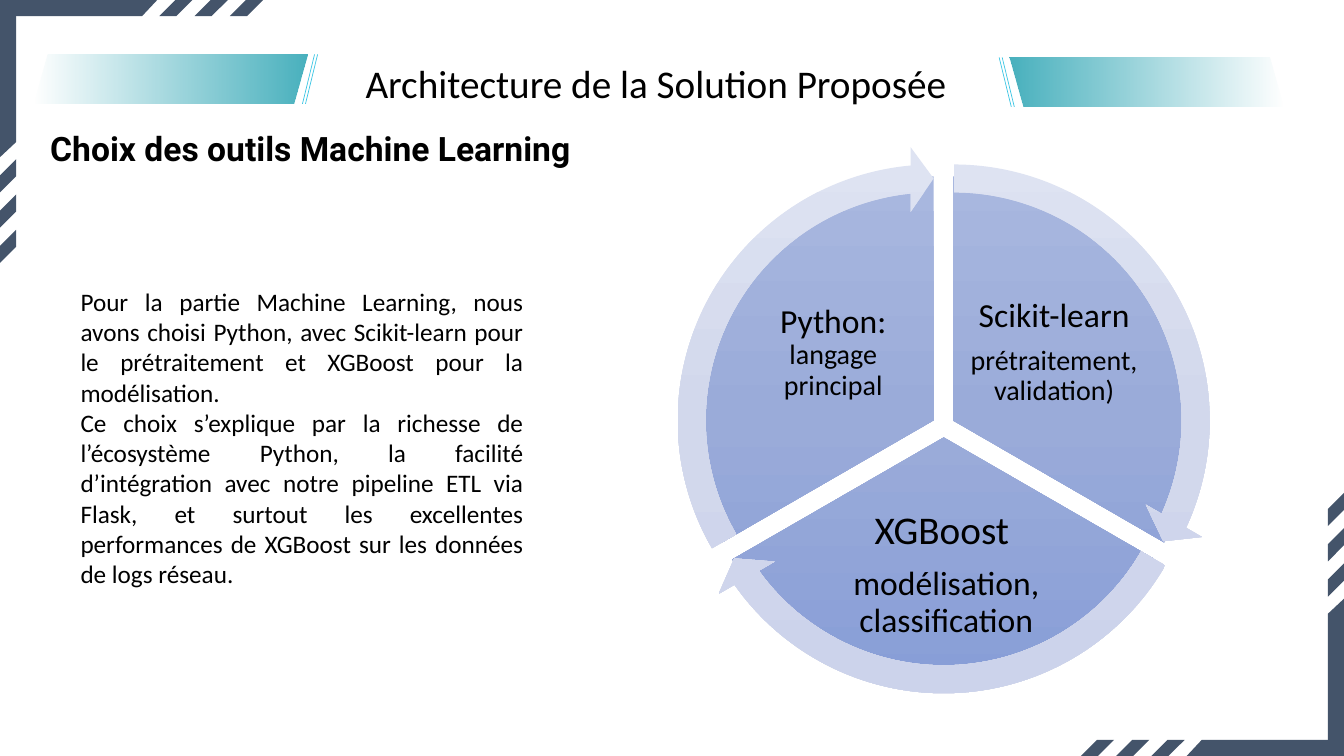
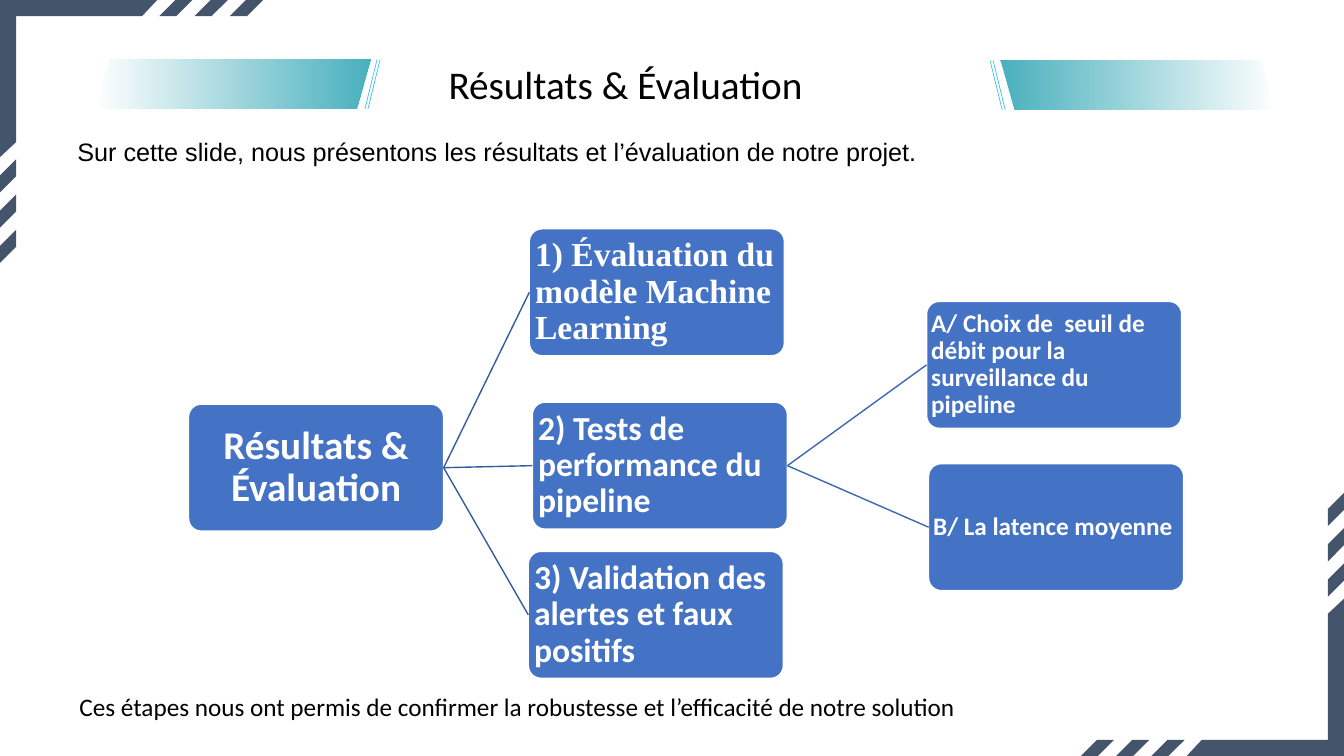
from lxml import etree
from pptx import Presentation
from pptx import util as u
from pptx.dml.color import RGBColor
from pptx.enum import shapes, text
from pptx.oxml.ns import qn

WIDTH, HEIGHT = 13.33, 7.5
NAVY, TEAL, CYAN = "44546A", "48B1BE", "3CC6E4"
BLUE, LINK, SUBLINK = "4472C4", "365B9D", "3E67B2"
BLACK, WHITE = "000000", "FFFFFF"
SECTOR_FILL = [(0, "A8B7DF", 100), (50, "9AABD9", 100), (100, "889ED7", 100)]
ARROW_FILL = [(0, "DEE3F2", 100), (50, "D2D8EC", 100), (100, "CCD3EB", 100)]
FADE_FILL = [(0, TEAL, 100), (100, TEAL, 0)]
LEFT, CENTER, JUSTIFY = text.PP_ALIGN.LEFT, text.PP_ALIGN.CENTER, text.PP_ALIGN.JUSTIFY
MIDDLE = text.MSO_ANCHOR.MIDDLE
PRESET = shapes.MSO_SHAPE


def rgb(code):
    return RGBColor.from_string(code)


class Deck:
    """Holds the shared style and the slide being drawn."""

    def __init__(self):
        self.prs = Presentation()
        self.prs.slide_width = u.Inches(WIDTH)
        self.prs.slide_height = u.Inches(HEIGHT)
        self.slide = None

    def new_slide(self, title, title_box, align, left_accent, right_accent):
        self.slide = self.prs.slides.add_slide(self.prs.slide_layouts[6])
        self.accent(*left_accent)
        self.accent(*right_accent, mirrored=True)
        self.corners()
        self.label(title, title_box, 28, align=align)

    def preset(self, kind, box, adjustments):
        shape = self.slide.shapes.add_shape(kind, *map(u.Inches, box))
        shape.shadow.inherit = False
        shape.line.fill.background()
        for index, value in enumerate(adjustments):
            shape.adjustments[index] = value
        return shape

    def gradient(self, shape, stops, angle):
        shape.fill.gradient()
        shape.fill.gradient_angle = angle
        stop_list = shape.element.spPr.find(qn("a:gradFill")).find(qn("a:gsLst"))
        for old_stop in list(stop_list):
            stop_list.remove(old_stop)
        for position, code, opacity in stops:
            stop = etree.SubElement(stop_list, qn("a:gs"), pos=str(position * 1000))
            color = etree.SubElement(stop, qn("a:srgbClr"), val=code)
            if opacity < 100:
                etree.SubElement(color, qn("a:alpha"), val=str(opacity * 1000))

    def connector(self, color, weight, start=(0, 0), end=(0, 0), joins=None):
        points = map(u.Inches, (*start, *end))
        line = self.slide.shapes.add_connector(shapes.MSO_CONNECTOR.STRAIGHT, *points)
        if joins:
            line.begin_connect(joins[0], 3)
            line.end_connect(joins[1], 1)
        line.line.color.rgb = rgb(color)
        line.line.width = u.Pt(weight)
        etree.SubElement(line.element.spPr, qn("a:effectLst"))

    def polygon(self, points, color):
        corners = [(u.Inches(x), u.Inches(y)) for x, y in points]
        builder = self.slide.shapes.build_freeform(*corners[0])
        builder.add_line_segments(corners[1:], close=True)
        shape = builder.convert_to_shape()
        shape.shadow.inherit = False
        shape.fill.solid()
        shape.fill.fore_color.rgb = rgb(color)
        shape.line.fill.background()

    def corners(self):
        outlines = [[(0, 0), (0.16, 0), (0.16, 1.41), (0, 1.56)]]
        for top in (1.58, 1.93, 2.28):
            outlines.append([(0, top + 0.16), (0.16, top), (0.16, top + 0.17), (0, top + 0.33)])
        for side in outlines:
            for edge in (side, [(y, x) for x, y in side]):
                self.polygon(edge, NAVY)
                self.polygon([(WIDTH - x, HEIGHT - y) for x, y in edge], NAVY)

    def accent(self, left, top, mirrored=False):
        width, height = 2.72, 0.49
        band = self.preset(PRESET.PARALLELOGRAM, (left, top, width, height), [0.283])
        self.gradient(band, FADE_FILL, 180)
        if mirrored:
            band.element.spPr.find(qn("a:xfrm")).set("flipH", "1")
        edge, sign = (left, -1) if mirrored else (left + width, 1)
        for gap in (0.07, 0.1):
            x = edge + sign * gap
            self.connector(CYAN, 0.5, (x, top), (x - sign * 0.12, top + height))

    def fill_text(self, frame, paragraphs, color, font, bold, align, tight):
        frame.word_wrap = True
        for index, runs in enumerate(paragraphs):
            paragraph = frame.add_paragraph() if index else frame.paragraphs[0]
            paragraph.alignment = align
            if len(runs) == 1:
                paragraph.text = runs[0][0]
                paragraph.font.size = u.Pt(runs[0][1])
            else:
                for words, size in runs:
                    run = paragraph.add_run()
                    run.text = words
                    run.font.size = u.Pt(size)
            paragraph.font.name = font
            paragraph.font.bold = bold
            paragraph.font.color.rgb = rgb(color)
            if tight:
                paragraph.line_spacing = 0.9
                paragraph.space_after = u.Pt(round(0.35 * runs[-1][1], 1))

    def margins(self, frame, inset):
        frame.margin_left = frame.margin_right = u.Inches(inset)
        frame.margin_top = frame.margin_bottom = u.Inches(inset)
        frame.vertical_anchor = MIDDLE

    def label(self, words, box, size, font="Calibri", bold=False, align=LEFT):
        frame = self.slide.shapes.add_textbox(*map(u.Inches, box)).text_frame
        self.fill_text(frame, [[(words, size)]], BLACK, font, bold, align, False)
        frame.auto_size = text.MSO_AUTO_SIZE.SHAPE_TO_FIT_TEXT

    def caption(self, paragraphs, box, inset):
        frame = self.slide.shapes.add_textbox(*map(u.Inches, box)).text_frame
        self.margins(frame, inset)
        self.fill_text(frame, paragraphs, BLACK, "Calibri", False, CENTER, True)

    def node(self, words, left, top, size, inset=0.02, font="Calibri", align=LEFT):
        shape = self.preset(PRESET.ROUNDED_RECTANGLE, (left, top, 2.53, 1.26), [0.1])
        shape.fill.solid()
        shape.fill.fore_color.rgb = rgb(BLUE)
        shape.line.color.rgb = rgb(WHITE)
        shape.line.width = u.Pt(1)
        self.margins(shape.text_frame, inset)
        self.fill_text(shape.text_frame, [[(words, size)]], WHITE, font, True, align, True)
        return shape

    def sector(self, left, top, start, end):
        shape = self.preset(PRESET.PIE, (left, top, 4.84, 4.84), [start, end])
        self.gradient(shape, SECTOR_FILL, 270)

    def cycle_arrow(self, left, top, head, tail):
        angles = [0.051, 3.275, head, tail, 0.059]
        shape = self.preset(PRESET.CIRCULAR_ARROW, (left, top, 5.44, 5.44), angles)
        self.gradient(shape, ARROW_FILL, 270)


def tools_slide(deck):
    deck.new_slide("Architecture de la Solution Proposée", (3.17, 0.54, 6.67, 0.57), CENTER,
                   (0.33, 0.54), (10.01, 0.57))
    deck.label("Choix des outils Machine Learning", (0.4, 1.22, 6.67, 0.5), 24, "Roboto", True)
    for sector in ((7.03, 1.75, 162, 18), (6.94, 1.92, 18, 90), (6.84, 1.75, 90, 162)):
        deck.sector(*sector)
    deck.caption([[("Scikit-learn", 24)], [("prétraitement, validation)", 20)]],
                 (9.59, 2.78, 1.73, 1.44), 0.03)
    deck.caption([[("XGBoost ", 28)], [("modélisation, classification", 24)]],
                 (8.09, 5.07, 2.59, 1.27), 0.04)
    deck.caption([[("Python: ", 24), ("langage principal", 20)]], (7.4, 2.78, 1.73, 1.44), 0.03)
    for arrow in ((6.74, 1.45, 14.73, 161.99), (6.64, 1.62, 86.72, 18.01),
                  (6.54, 1.45, 158.73, 90)):
        deck.cycle_arrow(*arrow)
    deck.label("Pour la partie Machine Learning, nous avons choisi Python, avec Scikit-learn "
               "pour le prétraitement et XGBoost pour la modélisation.\n"
               "Ce choix s’explique par la richesse de l’écosystème Python, la facilité "
               "d’intégration avec notre pipeline ETL via Flask, et surtout les excellentes "
               "performances de XGBoost sur les données de logs réseau.",
               (0.7, 2.79, 4.59, 3.13), 18, align=JUSTIFY)


def results_slide(deck):
    deck.new_slide("Résultats & Évaluation", (4.35, 0.55, 4.99, 0.57), JUSTIFY,
                   (0.95, 0.59), (9.92, 0.6))
    results = deck.node("Résultats & Évaluation", 1.87, 4.01, 28, align=CENTER)
    model = deck.node("1) Évaluation du modèle Machine Learning", 5.25, 2.27, 24,
                      font="Times New Roman")
    performance = deck.node("2) Tests de performance du pipeline", 5.28, 3.99, 24)
    validation = deck.node("3) Validation des alertes et faux positifs", 5.24, 5.47, 24)
    threshold = deck.node("A/ Choix de  seuil de débit pour la surveillance du pipeline",
                          9.19, 2.99, 18, 0.01)
    latency = deck.node("B/ La latence moyenne", 9.21, 4.6, 18, 0.01)
    for step in (model, performance, validation):
        deck.connector(LINK, 1, joins=(results, step))
    for measure in (threshold, latency):
        deck.connector(SUBLINK, 1, joins=(performance, measure))
    deck.label("Sur cette slide, nous présentons les résultats et l’évaluation de notre projet.",
               (0.67, 1.3, 9.16, 0.4), 18, "Arial")
    deck.label("Ces étapes nous ont permis de confirmer la robustesse et l’efficacité "
               "de notre solution", (0.69, 6.81, 9.67, 0.4), 18)


def main():
    deck = Deck()
    tools_slide(deck)
    results_slide(deck)
    deck.prs.save("out.pptx")


if __name__ == "__main__":
    main()
